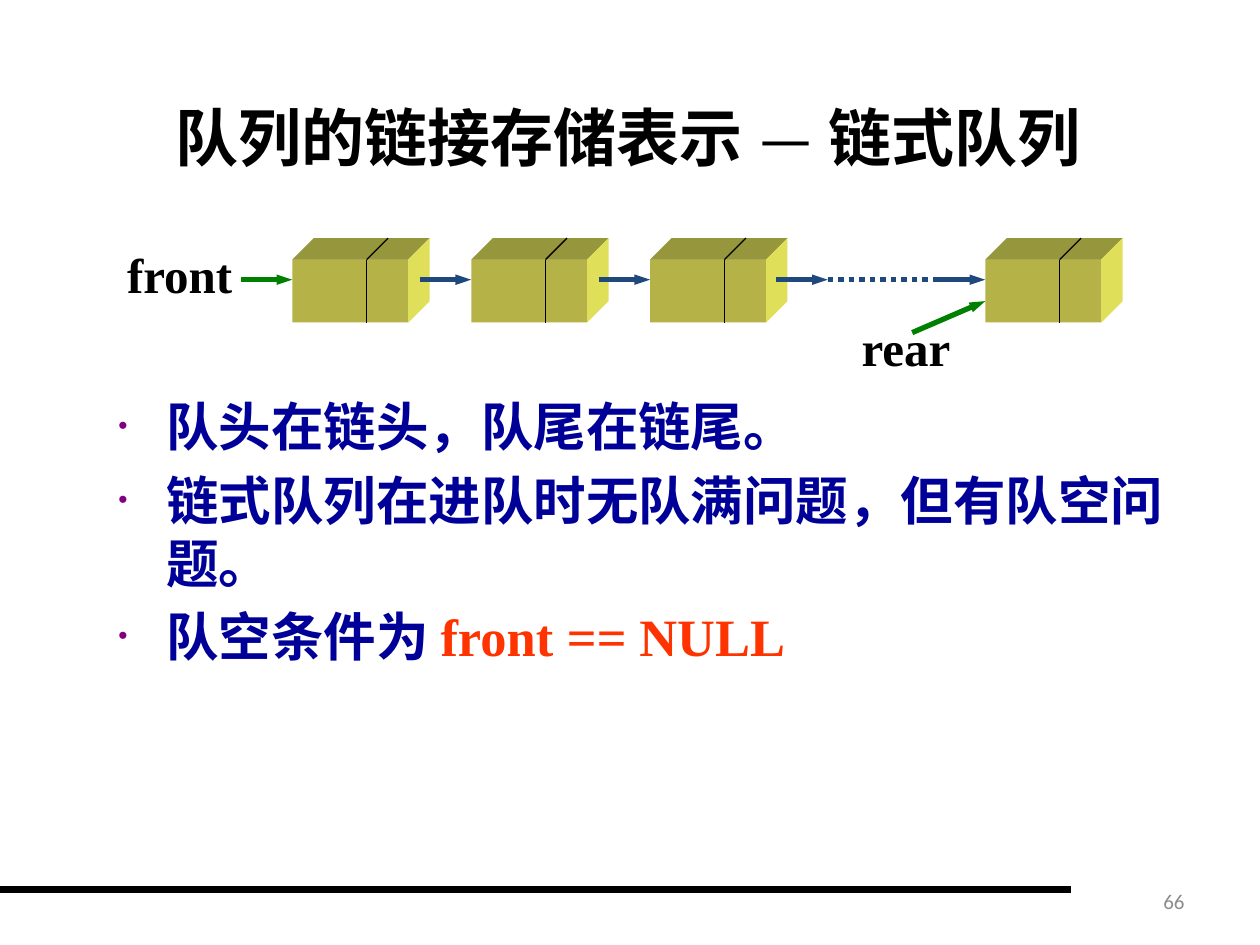
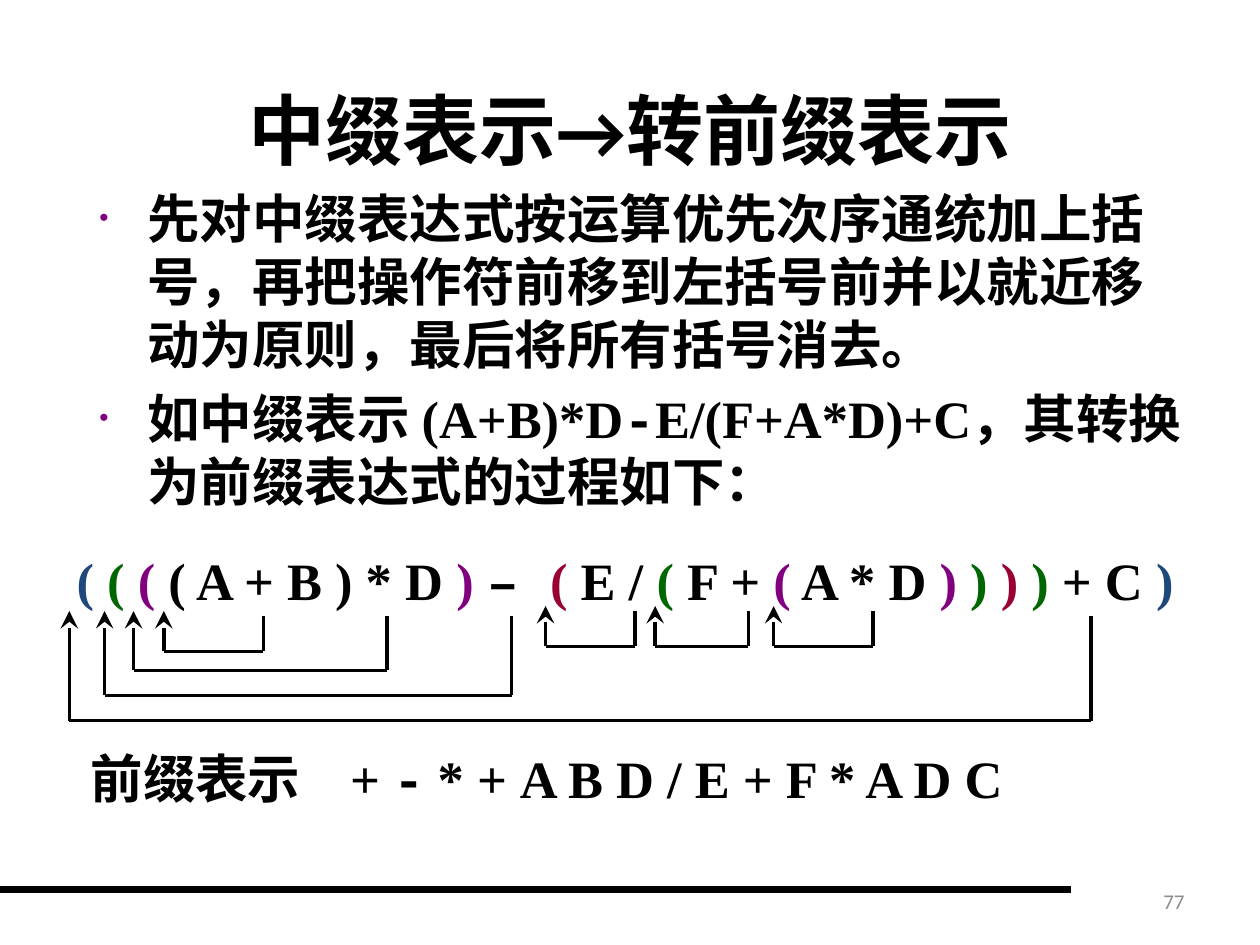
import pptx
import pptx.util
import pptx.dml.color
import pptx.enum.dml
import pptx.enum.shapes
import pptx.enum.text
import pptx.oxml
import pptx.oxml.ns
import lxml.etree

Inches = pptx.util.Inches
Pt = pptx.util.Pt
qn = pptx.oxml.ns.qn
ALIGN = pptx.enum.text.PP_ALIGN
MIDDLE = pptx.enum.text.MSO_ANCHOR.MIDDLE

SANS, ROMAN, MONO = "Calibri", "Times New Roman", "Courier New"
NOTO = "Noto Sans CJK SC"
BLACK, NAVY, RED, GREY = "000000", "000099", "FF3300", "8C8C8C"
BLUE, PURPLE, FOREST, WINE, GREEN = "1F497D", "800080", "006600", "990033", "008000"
FRONT, ROOF, SIDE = "B5B248", "96963C", "DFDF5A"


def paint(color, code):
    color.rgb = pptx.dml.color.RGBColor.from_string(code)


def child(node, tag, **values):
    return lxml.etree.SubElement(node, qn(tag), values)


class Deck:
    """Holds the shared style and the current slide."""

    def __init__(self):
        self.show = pptx.Presentation()
        self.show.slide_width, self.show.slide_height = Inches(10), Inches(7.5)

    def start(self, box, runs, size, number):
        self.slide = self.show.slides.add_slide(self.show.slide_layouts[5])
        self.shapes = self.slide.shapes
        self.line((0, 7.06), (8.5, 7.06), width=4.5)
        title = self.shapes.title
        for name, value in zip(("left", "top", "width", "height"), box):
            setattr(title, name, Inches(value))
        title.text_frame.vertical_anchor = MIDDLE
        self.fill(title.text_frame.paragraphs[0], runs, size, ALIGN.CENTER)
        self.text((7.17, 6.95, 2.33, 0.4), [(number, {"color": GREY, "bold": False})],
                  12, align=ALIGN.RIGHT, vertical_anchor=MIDDLE)

    def fill(self, para, runs, size, align=ALIGN.LEFT):
        para.alignment = align
        for words, style in runs:
            values = {"name": SANS, "size": Pt(size), "bold": True, "color": BLACK, **style}
            run = para.add_run()
            run.text = words
            paint(run.font.color, values.pop("color"))
            for name, value in values.items():
                setattr(run.font, name, value)
            child(run.font._element, "a:ea", typeface=SANS)

    def frame(self, box, **values):
        frame = self.shapes.add_textbox(*map(Inches, box)).text_frame
        for name, value in {"word_wrap": True, **values}.items():
            setattr(frame, name, value)
        return frame

    def text(self, box, runs, size, align=ALIGN.LEFT, tab=None, **values):
        para = self.frame(box, **values).paragraphs[0]
        self.fill(para, runs, size, align)
        if tab:
            tabs = child(para._p.get_or_add_pPr(), "a:tabLst")
            child(tabs, "a:tab", pos=str(Inches(tab)), algn="l")

    def label(self, box, words):
        self.text(box, [(words, {"name": ROMAN})], 28, word_wrap=False)

    def bullets(self, box, items):
        frame = self.frame(box)
        for index, runs in enumerate(items):
            para = frame.add_paragraph() if index else frame.paragraphs[0]
            para.space_before = Pt(6)
            self.fill(para, runs, 30)
            props = para._p.get_or_add_pPr()
            props.set("marL", str(Inches(0.38)))
            props.set("indent", str(-Inches(0.38)))
            child(child(props, "a:buClr"), "a:srgbClr", val=PURPLE)
            child(props, "a:buSzPct", val="50000")
            child(props, "a:buFont", typeface="Arial")
            child(props, "a:buChar", char="•")

    def line(self, begin, end, color=BLACK, width=0.75, head=None, dash=None):
        kind = pptx.enum.shapes.MSO_CONNECTOR.STRAIGHT
        link = self.shapes.add_connector(kind, *map(Inches, (*begin, *end)))
        paint(link.line.color, color)
        for name, value in {"width": Pt(width), "dash_style": dash}.items():
            setattr(link.line, name, value)
        if head:
            wide, long = {"triangle": ("sm", "med"), "stealth": ("lg", "lg")}[head]
            pen = link._element.find(".//" + qn("a:ln"))
            child(pen, "a:tailEnd", type=head, w=wide, len=long)
        child(link._element.spPr, "a:effectLst")

    def face(self, points, color):
        spots = [(Inches(x), Inches(y)) for x, y in points]
        build = self.shapes.build_freeform(*spots[0])
        build.add_line_segments(spots[1:], close=True)
        self.solid(build.convert_to_shape(), color)

    def solid(self, shape, color):
        shape.shadow.inherit = False
        shape.fill.solid()
        paint(shape.fill.fore_color, color)
        shape.line.fill.background()

    def node(self, left):
        top, base, depth = 2.06, 2.56, 0.17
        right, split = left + 0.92, left + 0.59
        kind = pptx.enum.shapes.MSO_SHAPE.RECTANGLE
        box = map(Inches, (left, top, right - left, base - top))
        self.solid(self.shapes.add_shape(kind, *box), FRONT)
        back = right + depth, top - depth
        self.face([(left, top), (left + depth, top - depth), back, (right, top)], ROOF)
        self.face([(right, top), back, (right + depth, base - depth), (right, base)], SIDE)
        self.line((split, top), (split, base))
        self.line((split, top), (split + depth, top - depth))

    def move(self, source, target, base, tip):
        self.line((target, base), (target, tip), width=2, head="stealth")
        self.line((source, base), (target, base), width=1.75)
        self.line((source, base), (source, tip + 0.04), width=2)


def queue(deck):
    cjk = {"name": "Noto Sans CJK JP"}
    deck.start((1.22, 0.63, 7.53, 0.91),
               [("队列的链接存储表示", cjk), (" — ", {"name": "Arial", "bold": False}),
                ("链式队列", cjk)], 36, "66")
    code = {"name": ROMAN, "color": RED}
    navy = {"color": NAVY}
    deck.bullets((0.84, 3.08, 8.65, 2.68), [
        [("队头在链头，队尾在链尾。", navy)],
        [("链式队列在进队时无队满问题，但有队空问题。", navy)],
        [("队空条件为 ", navy), ("front ", code), ("==", {**code, "italic": True}),
         (" NULL", code)],
    ])
    nodes = [2.32, 3.74, 5.16, 7.82]
    for left in nodes:
        deck.node(left)
    for left in (*nodes[1:], 6.57):
        deck.line((left - 0.41, 2.22), (left, 2.22), BLUE, 3, "triangle")
    deck.line((6.57, 2.22), (7.41, 2.22), BLUE, 3,
              dash=pptx.enum.dml.MSO_LINE.ROUND_DOT)
    deck.label((0.91, 1.89, 1.05, 0.57), "front")
    deck.line((1.91, 2.22), (2.32, 2.22), GREEN, 3, "triangle")
    deck.label((6.74, 2.47, 0.91, 0.57), "rear")
    deck.line((7.24, 2.64), (7.82, 2.39), GREEN, 3, "triangle")


def prefix(deck):
    roman, mono, cjk = {"name": ROMAN}, {"name": MONO}, {"name": NOTO}
    deck.start((0.5, 0.5, 9, 1.05),
               [("中缀表示", {}), ("→", mono), ("转前缀表示", {})], 44, "77")
    deck.bullets((0.69, 1.43, 8.8, 2.84), [
        [("先对中缀表达式按运算优先次序通统加上括号，再把操作符前移到左括号前"
          "并以就近移动为原则，最后将所有括号消去。", {})],
        [("如中缀表示", cjk), (" (A+B)*D", roman), ("-", mono), ("E/(F+A*D)+C", roman),
         ("，其转换为前缀表达式的过程如下：", cjk)],
    ])
    terms = [
        ("( ", BLUE), ("( ", FOREST), ("(", PURPLE), (" ( A + B ) * D ", BLACK),
        (") ", PURPLE), ("– ", BLACK), ("(", WINE), (" E / ", BLACK), ("(", FOREST),
        (" F + ", BLACK), ("(", PURPLE), (" A * D ", BLACK), (") ", PURPLE),
        (") ", FOREST), (") ", WINE), (")", FOREST), (" + C ", BLACK), (")", BLUE),
    ]
    runs = [(words, {"name": MONO if words == "– " else ROMAN, "color": color})
            for words, color in terms]
    deck.text((0.51, 4.3, 9.02, 0.6), runs, 30, word_wrap=False)
    for source, target, base in [(2.09, 1.3, 5.17), (3.07, 1.06, 5.32),
                                 (4.06, 0.83, 5.52), (8.66, 0.55, 5.72)]:
        deck.move(source, target, base, 4.85)
    for source, target in [(5.04, 4.33), (5.94, 5.2), (6.93, 6.14)]:
        deck.move(source, target, 5.13, 4.81)
    deck.text((0.62, 5.87, 7.45, 0.6),
              [("前缀表示\t+ ", roman), ("-", mono), (" * + A B D / E + F * A D C", roman)],
              30, tab=2.06, word_wrap=False)


def main():
    deck = Deck()
    queue(deck)
    prefix(deck)
    deck.show.save("out.pptx")


if __name__ == "__main__":
    main()
